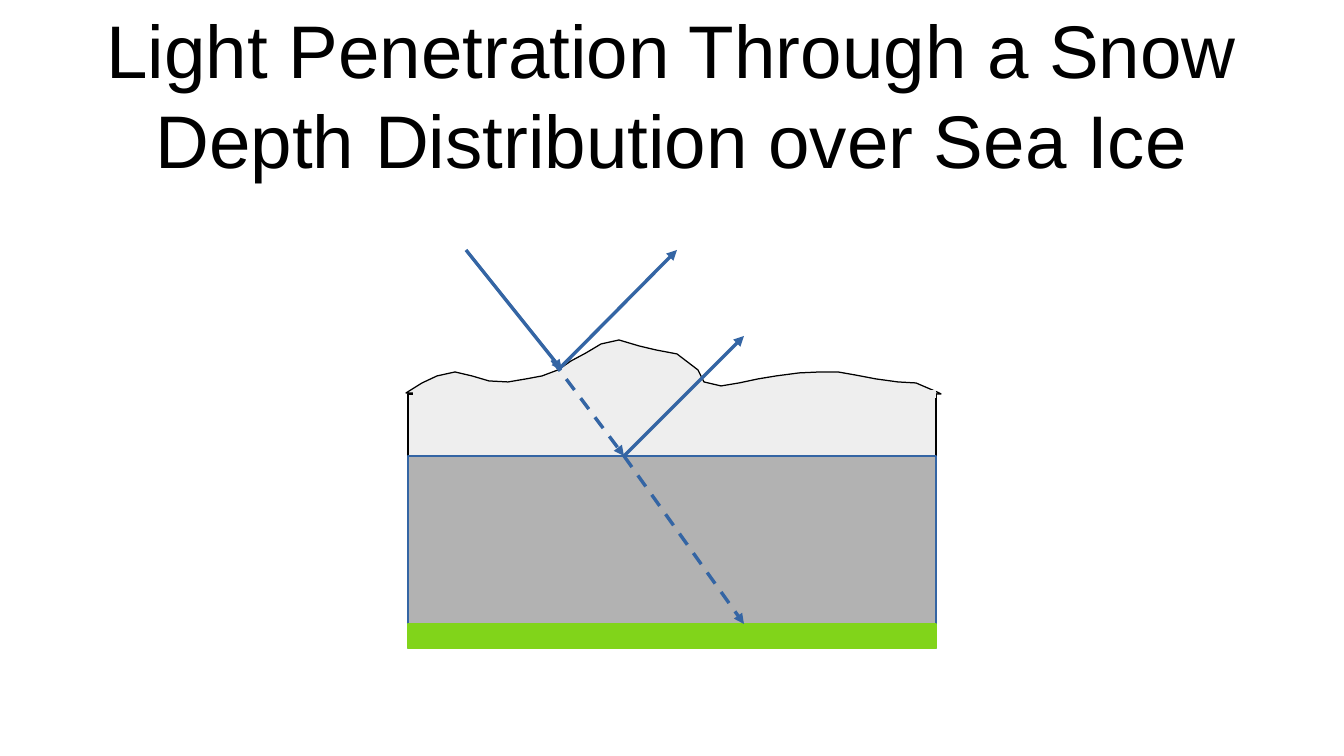
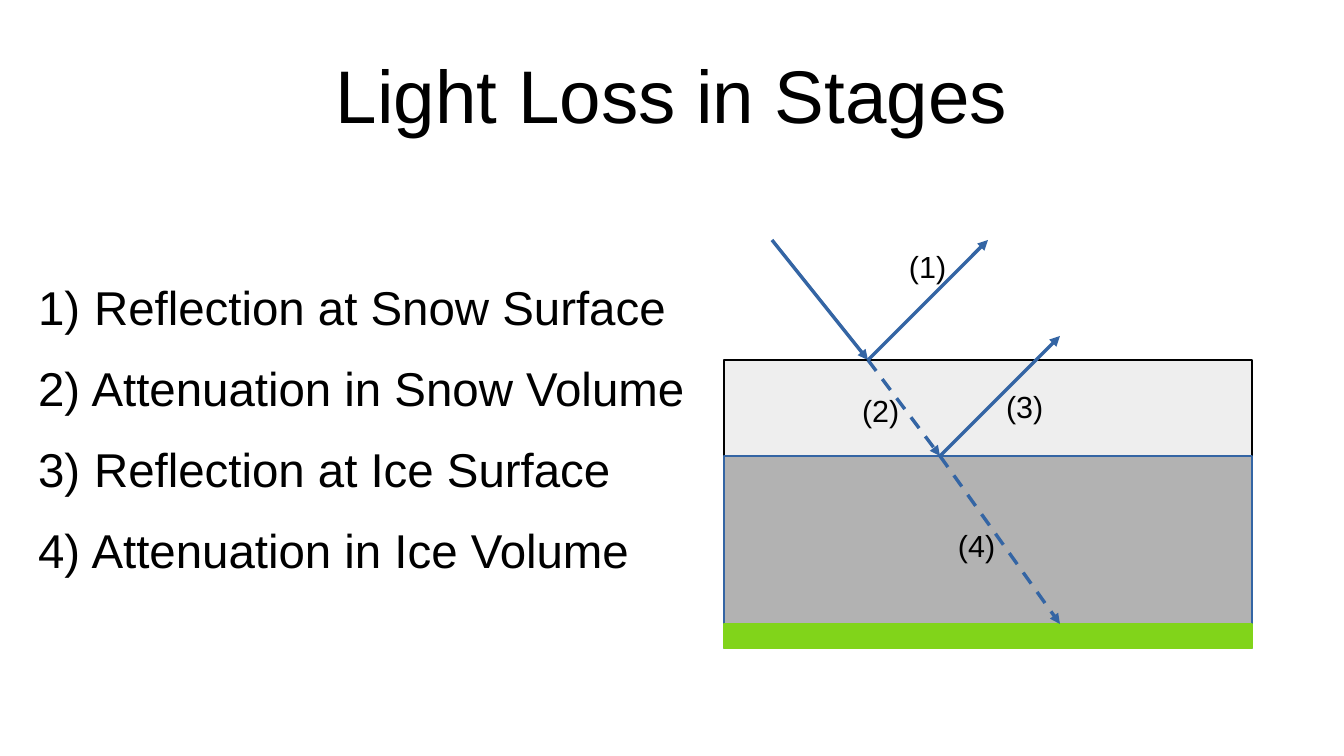
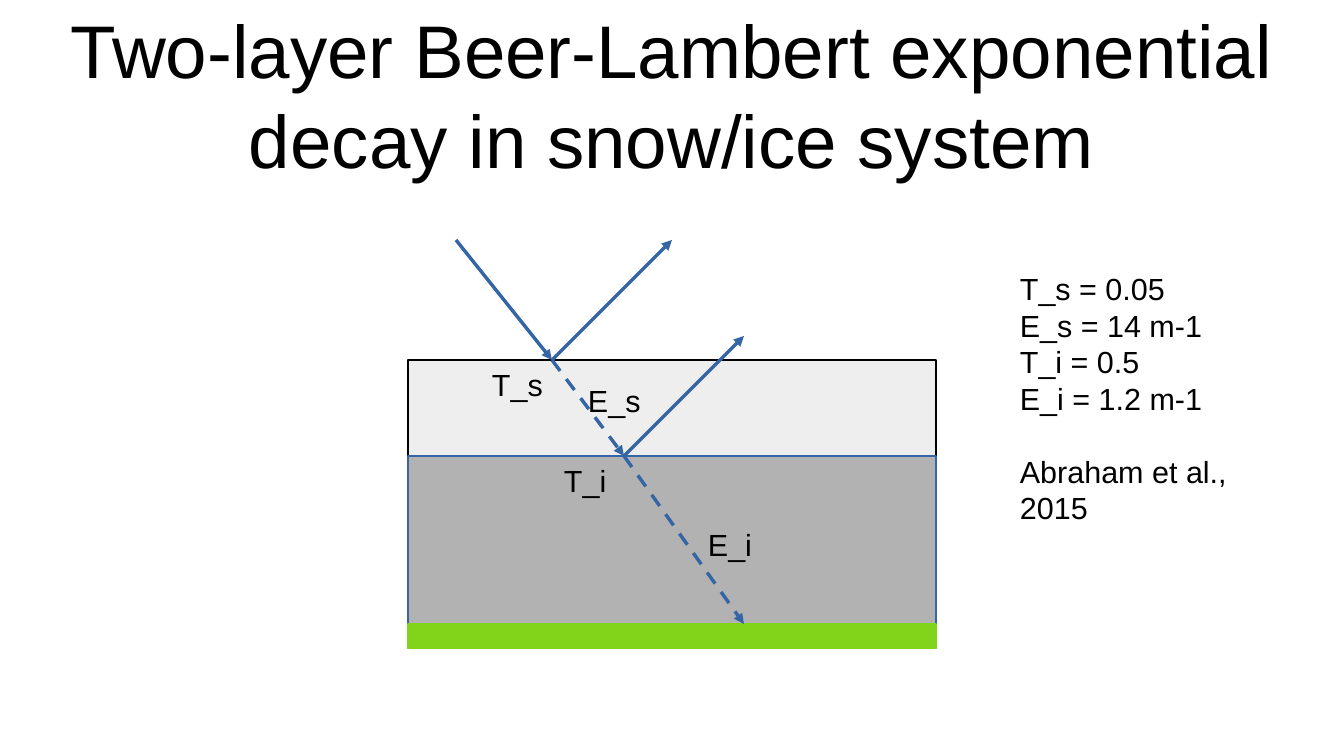
from dataclasses import dataclass

from lxml import etree
from pptx import Presentation
from pptx.dml.color import RGBColor
from pptx.enum.dml import MSO_LINE
from pptx.enum.shapes import MSO_CONNECTOR, MSO_SHAPE
from pptx.enum.text import MSO_ANCHOR, MSO_AUTO_SIZE, PP_ALIGN
from pptx.oxml.ns import qn
from pptx.util import Emu, Pt

RECTANGLE = MSO_SHAPE.RECTANGLE
STRAIGHT = MSO_CONNECTOR.STRAIGHT
DASH = MSO_LINE.DASH
MIDDLE, TOP = MSO_ANCHOR.MIDDLE, MSO_ANCHOR.TOP
CENTER, LEFT = PP_ALIGN.CENTER, PP_ALIGN.LEFT
NO_AUTOFIT = MSO_AUTO_SIZE.NONE
EMU_PER_PX = 914400 / 122


@dataclass(frozen=True)
class Theme:
    font: str = "Arial"
    text: str = "000000"
    snow: str = "EEEEEE"
    ice: str = "B2B2B2"
    algae: str = "81D41A"
    ray: str = "3465A4"
    outline: str = "000000"
    title_size: int = 44
    list_size: int = 28
    label_size: int = 18
    hairline: float = 0
    cover_line: float = 4.5


THEME = Theme()

# Content: all lengths in px, diagram x values relative to the layers' left edge
SLIDE_SIZE = (1344, 756)
TITLE_ONE_LINE = (67, 30, 1210, 127)
TITLE_TWO_LINES = (67, 10, 1210, 167)
LAYER_WIDTH = 528
FLAT_SNOW_TOP, ROUGH_SNOW_TOP = 360, 394
ICE_TOP, ALGAE_TOP, BOTTOM = 456, 624, 648
CENTERED_LEFT, RIGHT_LEFT = 408, 724

# Rays: start, end, dashed
FLAT_SURFACE_RAYS = [
    ((48, 240), (144, 360), False),
    ((144, 360), (264, 240), False),
]
ROUGH_SURFACE_RAYS = [
    ((58, 250), (154, 370), False),
    ((150, 370), (269, 250), False),
]
INNER_RAYS = [
    ((144, 360), (216, 456), True),
    ((216, 456), (336, 624), True),
    ((216, 456), (336, 336), False),
]

SNOW_OUTLINE = [
    (406, 393), (422, 383), (437, 376), (455, 372), (472, 376), (489, 381),
    (508, 382), (526, 379), (542, 376), (558, 370), (571, 361), (586, 353),
    (601, 344), (619, 340), (639, 346), (656, 350), (677, 354), (698, 370),
    (704, 382), (721, 386), (739, 383), (758, 379), (776, 376), (799, 373),
    (820, 372), (838, 372), (855, 375), (876, 379), (898, 382), (916, 383),
    (937, 392), (941, 394),
]

STAGES = [
    " Reflection at Snow Surface",
    " Attenuation in Snow Volume",
    " Reflection at Ice Surface",
    " Attenuation in Ice Volume",
]
STAGES_BOX = (24, 278, 672, 439)
STAGE_LABELS = [("(1)", 173, 242), ("(2)", 126, 386), ("(3)", 270, 382), ("(4)", 222, 521)]
STAGE_LABEL_SIZE = (72, 46)

COEFFICIENTS = ["T_s = 0.05", "E_s = 14 m-1", "T_i = 0.5", "E_i = 1.2 m-1"]
CITATION = "Abraham et al., 2015"
COEFFICIENTS_BOX = (1008, 264, 264, 320)
LAYER_LABELS = [("T_s", 72, 360), ("E_s", 168, 376), ("T_i", 144, 456), ("E_i", 288, 520)]
LAYER_LABEL_SIZE = (96, 80)


def px(value):
    return Emu(round(value * EMU_PER_PX))


def rgb(value):
    return RGBColor.from_string(value)


# Text
def write(shape, lines, size, align=LEFT, anchor=TOP, margins=(0, 0)):
    frame = shape.text_frame
    frame.word_wrap = True
    frame.auto_size = NO_AUTOFIT
    frame.vertical_anchor = anchor
    frame.margin_left = frame.margin_right = px(margins[0])
    frame.margin_top = frame.margin_bottom = px(margins[1])
    frame.text = "\n".join(lines)
    for paragraph in frame.paragraphs:
        paragraph.alignment = align
        paragraph.font.name = THEME.font
        paragraph.font.size = Pt(size)
        paragraph.font.color.rgb = rgb(THEME.text)
    return frame.paragraphs


def add_text(slide, box, lines, size, **style):
    return write(slide.shapes.add_textbox(*map(px, box)), lines, size, **style)


def add_note(slide, box, lines):
    return add_text(slide, box, lines, THEME.label_size, margins=(12, 6))


def add_labels(slide, left, labels, size):
    for label, x, y in labels:
        add_note(slide, (left + x, y, *size), [label])


def number(paragraph):
    properties = paragraph._p.get_or_add_pPr()
    properties.set("marL", str(px(57)))
    properties.set("indent", str(px(-43)))
    etree.SubElement(properties, qn("a:buFont"), typeface=THEME.font)
    etree.SubElement(properties, qn("a:buAutoNum"), type="arabicParenR")
    # Numbering must come before the paragraph's default run properties
    defaults = properties.find(qn("a:defRPr"))
    if defaults is not None:
        properties.append(defaults)


# Diagram
def paint(shape, fill, line):
    shape.shadow.inherit = False
    shape.fill.solid()
    shape.fill.fore_color.rgb = rgb(fill)
    shape.line.color.rgb = rgb(line)
    shape.line.width = Pt(THEME.hairline)


def add_line(slide, left, start, end, color, width):
    points = [px(v) for x, y in (start, end) for v in (left + x, y)]
    line = slide.shapes.add_connector(STRAIGHT, *points)
    line.line.color.rgb = rgb(color)
    line.line.width = Pt(width)
    etree.SubElement(line._element.spPr, qn("a:effectLst"))
    return line


def add_rays(slide, left, rays):
    for start, end, dashed in rays:
        ray = add_line(slide, left, start, end, THEME.ray, THEME.hairline)
        if dashed:
            ray.line.dash_style = DASH
        etree.SubElement(ray.line._get_or_add_ln(), qn("a:tailEnd"), type="triangle")


def add_layers(slide, left, snow_top):
    layers = [
        (snow_top, ICE_TOP, THEME.snow, THEME.outline),
        (ICE_TOP, BOTTOM, THEME.ice, THEME.ray),
        (ALGAE_TOP, BOTTOM, THEME.algae, THEME.algae),
    ]
    for top, bottom, fill, line in layers:
        box = (left, top, LAYER_WIDTH, bottom - top)
        paint(slide.shapes.add_shape(RECTANGLE, *map(px, box)), fill, line)


def add_flat_diagram(slide, left):
    add_layers(slide, left, FLAT_SNOW_TOP)
    add_rays(slide, left, FLAT_SURFACE_RAYS + INNER_RAYS)


def add_rough_diagram(slide, left):
    builder = slide.shapes.build_freeform(*SNOW_OUTLINE[0], scale=EMU_PER_PX)
    builder.add_line_segments(SNOW_OUTLINE[1:], close=True)
    paint(builder.convert_to_shape(), THEME.snow, THEME.outline)
    add_layers(slide, left, ROUGH_SNOW_TOP)
    # Cover the seam between the snow surface and the snow layer
    add_line(slide, left, (5, ROUGH_SNOW_TOP), (LAYER_WIDTH, ROUGH_SNOW_TOP),
             THEME.snow, THEME.cover_line)
    add_rays(slide, left, ROUGH_SURFACE_RAYS + INNER_RAYS)


def add_slide(deck, title, box):
    slide = deck.slides.add_slide(deck.slide_layouts[5])
    heading = slide.shapes.title
    heading.left, heading.top, heading.width, heading.height = map(px, box)
    write(heading, [title], THEME.title_size, align=CENTER, anchor=MIDDLE)
    return slide


def main():
    deck = Presentation()
    deck.slide_width, deck.slide_height = map(px, SLIDE_SIZE)

    # Snow depth distribution
    slide = add_slide(deck, "Light Penetration Through a Snow Depth Distribution over Sea Ice",
                      TITLE_TWO_LINES)
    add_rough_diagram(slide, CENTERED_LEFT)

    # Stages of light loss
    slide = add_slide(deck, "Light Loss in Stages", TITLE_ONE_LINE)
    add_flat_diagram(slide, RIGHT_LEFT)
    for stage in add_text(slide, STAGES_BOX, STAGES, THEME.list_size):
        stage.space_before = Pt(14.2)
        number(stage)
    add_labels(slide, RIGHT_LEFT, STAGE_LABELS, STAGE_LABEL_SIZE)

    # Two-layer decay
    slide = add_slide(deck, "Two-layer Beer-Lambert exponential decay in snow/ice system",
                      TITLE_TWO_LINES)
    add_flat_diagram(slide, CENTERED_LEFT)
    add_labels(slide, CENTERED_LEFT, LAYER_LABELS, LAYER_LABEL_SIZE)
    notes = add_note(slide, COEFFICIENTS_BOX, COEFFICIENTS + [CITATION])
    notes[-1].space_before = Pt(21.5)

    deck.save("out.pptx")


if __name__ == "__main__":
    main()
